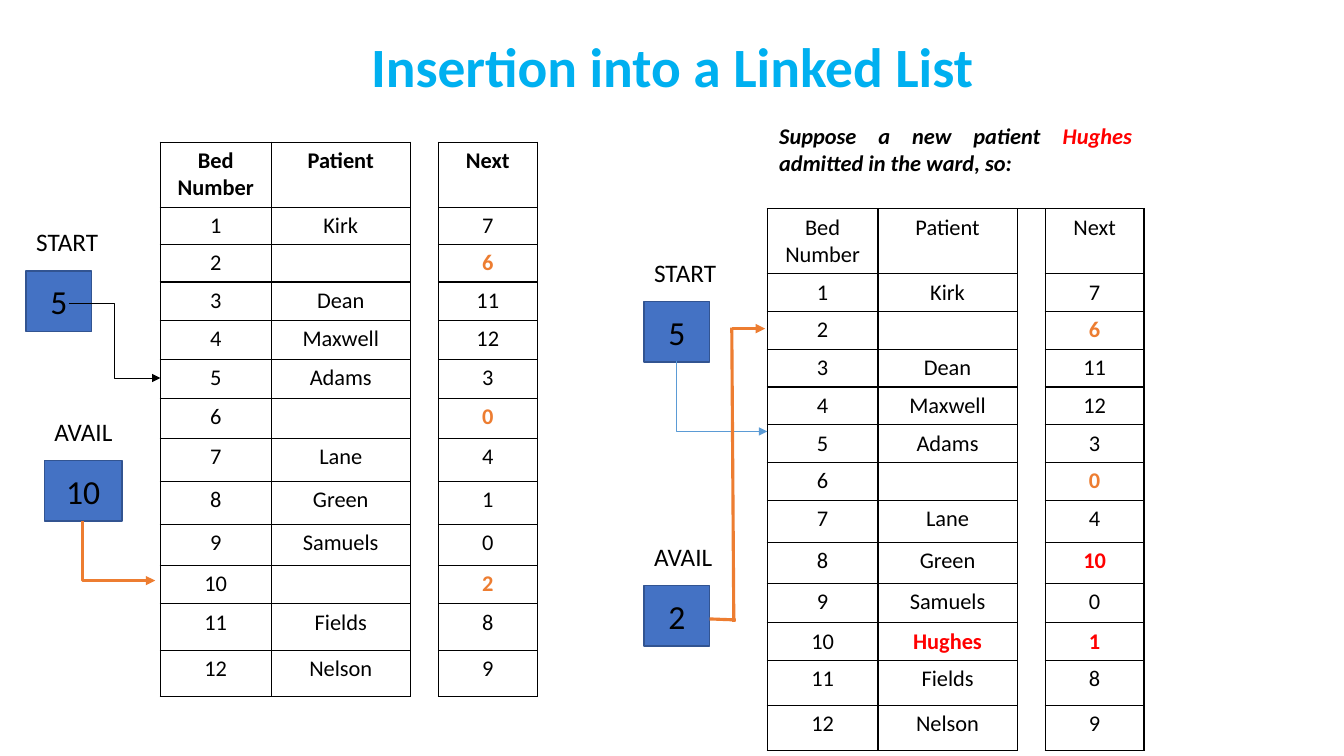
"""Build the slide on inserting a patient into a linked list of ward beds."""
from dataclasses import dataclass
from typing import Optional

from lxml.etree import SubElement
from pptx import Presentation
from pptx.dml.color import RGBColor
from pptx.enum.shapes import MSO_CONNECTOR, MSO_SHAPE
from pptx.enum.text import MSO_ANCHOR, PP_ALIGN
from pptx.oxml.ns import qn
from pptx.slide import Slide
from pptx.table import _Cell
from pptx.text.text import TextFrame
from pptx.util import Inches, Pt

SLIDE_WIDTH, SLIDE_HEIGHT = Inches(13.33), Inches(7.5)
COLUMN_SHARES = (8.25, 10.35, 2.03, 7.35)
GAP_COLUMN = 2
MERGED_GAP_ROWS = 11
LABEL_RISE = 6.53
BOX_HEIGHT = 8
NO_GRID_STYLE = "{2D5ABB26-0587-4C30-8999-92F81FD0307C}"


@dataclass(frozen=True)
class Theme:
    font: str = "Calibri"
    title: str = "00B0F0"
    text: str = "000000"
    free: str = "ED7D31"
    changed: str = "FF0000"
    box: str = "4472C4"
    box_line: str = "325491"
    thin_arrow: str = "5B9BD5"
    title_size: float = 39.6
    box_size: float = 24
    label_size: float = 18
    table_size: float = 16


THEME = Theme()


@dataclass(frozen=True)
class WardTable:
    left: float
    top: float
    row_shares: tuple[float, ...]
    patients: tuple[str, ...]
    links: tuple[int, ...]
    bold_heading: bool = False
    changed: frozenset[tuple[int, int]] = frozenset()
    intro: tuple[tuple[str, str], ...] = ()


@dataclass(frozen=True)
class Pointer:
    label: str
    value: int
    left: float
    top: float
    width: float = 4.88


@dataclass(frozen=True)
class Link:
    start: tuple[float, float]
    end: tuple[float, float]
    color: str
    width: float
    kind: str = "straight"
    arrow: bool = True


LEFT_PATIENTS = ("Kirk", "", "Dean", "Maxwell", "Adams", "", "Lane", "Green", "Samuels", "", "Fields", "Nelson")
RIGHT_PATIENTS = LEFT_PATIENTS[:9] + ("Hughes",) + LEFT_PATIENTS[10:]

TABLES = (
    WardTable(11.93, 18.8,
              (8.6, 4.96, 4.96, 5.05, 5.15, 5.2, 5.25, 5.7, 5.7, 5.45, 5.05, 6.2, 6.1),
              LEFT_PATIENTS, (7, 6, 11, 12, 3, 0, 4, 1, 0, 2, 8, 9), bold_heading=True),
    WardTable(57.08, 15.6,
              (12, 8.6, 5, 5, 5, 5, 5, 5, 5.55, 5.45, 5.2, 5, 5.95, 5.95),
              RIGHT_PATIENTS, (7, 6, 11, 12, 3, 0, 4, 10, 0, 1, 8, 9),
              changed=frozenset({(8, 3), (10, 1), (10, 3)}),
              intro=(("Suppose a new patient ", THEME.text), ("Hughes ", THEME.changed),
                     ("admitted in the ward, so:", THEME.text))),
)
POINTERS = (
    Pointer("START", 5, 1.95, 35.87),
    Pointer("AVAIL", 10, 3.3, 60.93, 5.78),
    Pointer("START", 5, 47.93, 39.87),
    Pointer("AVAIL", 2, 47.93, 77.47),
)
LINKS = (
    Link((5.1, 40.13), (11.93, 50), THEME.text, 0.5, "elbow"),
    Link((6.15, 68.93), (11.55, 76.8), THEME.free, 2.25, "corner"),
    Link((50.33, 47.73), (57.08, 57.07), THEME.thin_arrow, 0.5, "corner"),
    Link((54.6, 82.27), (54.45, 43.33), THEME.free, 2.25, arrow=False),
    Link((54.45, 43.47), (56.93, 43.47), THEME.free, 2.25),
    Link((52.8, 81.87), (54.75, 82), THEME.free, 2.25, arrow=False),
)


def across(share: float) -> int:
    return round(SLIDE_WIDTH * share / 100)


def down(share: float) -> int:
    return round(SLIDE_HEIGHT * share / 100)


def area(left: float, top: float, width: float, height: float) -> tuple[int, int, int, int]:
    return across(left), down(top), across(width), down(height)


def write(frame: TextFrame, text: str, size: float, color: str = THEME.text, bold: bool = False,
          alignment: PP_ALIGN = PP_ALIGN.CENTER) -> None:
    paragraph = frame.paragraphs[0]
    paragraph.text = text
    paragraph.alignment = alignment
    font = paragraph.font
    font.name, font.size, font.bold = THEME.font, Pt(size), bold
    font.color.rgb = RGBColor.from_string(color)


def style_cell(cell: _Cell, borders: str) -> None:
    cell.margin_left = cell.margin_right = across(0.9)
    cell.margin_top = cell.margin_bottom = down(0.67) if cell.text else 0
    properties = cell._tc.get_or_add_tcPr()
    for side in borders:
        line = SubElement(properties, qn(f"a:ln{side}"), w=str(Pt(1)))
        SubElement(SubElement(line, qn("a:solidFill")), qn("a:srgbClr"), val=THEME.text)
    cell.fill.background()


def draw_title(slide: Slide) -> None:
    frame = slide.shapes.add_textbox(*area(6.9, 5.33, 86.25, 7.73)).text_frame
    frame.word_wrap = True
    frame.vertical_anchor = MSO_ANCHOR.MIDDLE
    write(frame, "Insertion into a Linked List", THEME.title_size, THEME.title, True)
    frame.paragraphs[0].line_spacing = 0.9


def draw_intro(cell: _Cell, runs: tuple[tuple[str, str], ...]) -> None:
    write(cell.text_frame, "", THEME.table_size, bold=True, alignment=PP_ALIGN.JUSTIFY)
    paragraph = cell.text_frame.paragraphs[0]
    paragraph.font.italic = True
    for text, color in runs:
        run = paragraph.add_run()
        run.text = text
        run.font.color.rgb = RGBColor.from_string(color)
    style_cell(cell, "")


def cell_color(ward: WardTable, bed: int, column: int) -> Optional[str]:
    if (bed, column) in ward.changed:
        return THEME.changed
    if bed and column == 3 and not ward.patients[bed - 1]:
        return THEME.free
    return None


def draw_table(slide: Slide, ward: WardTable) -> None:
    frame = slide.shapes.add_table(len(ward.row_shares), len(COLUMN_SHARES), *area(
        ward.left, ward.top, sum(COLUMN_SHARES), sum(ward.row_shares)))
    table = frame.table
    table.first_row = table.horz_banding = False
    table._tbl.tblPr.find(qn("a:tableStyleId")).text = NO_GRID_STYLE
    for column, share in zip(table.columns, COLUMN_SHARES):
        column.width = across(share)
    for row, share in zip(table.rows, ward.row_shares):
        row.height = down(share)
    heading_row = 1 if ward.intro else 0
    if ward.intro:
        table.cell(0, 0).merge(table.cell(0, len(COLUMN_SHARES) - 1))
        draw_intro(table.cell(0, 0), ward.intro)
    beds = [(str(bed), name, "", str(link))
            for bed, (name, link) in enumerate(zip(ward.patients, ward.links), 1)]
    for bed, texts in enumerate([("Bed Number", "Patient", "", "Next"), *beds]):
        for column, text in enumerate(texts):
            cell = table.cell(heading_row + bed, column)
            color = cell_color(ward, bed, column)
            bold = bool(color) or (bed == 0 and ward.bold_heading)
            write(cell.text_frame, text, THEME.table_size, color or THEME.text, bold)
            style_cell(cell, "LR" if column == GAP_COLUMN else "LRTB")
    last_gap_row = heading_row + MERGED_GAP_ROWS - 1
    table.cell(heading_row, GAP_COLUMN).merge(table.cell(last_gap_row, GAP_COLUMN))


def draw_pointer(slide: Slide, pointer: Pointer) -> None:
    box = slide.shapes.add_shape(MSO_SHAPE.RECTANGLE, *area(
        pointer.left, pointer.top, pointer.width, BOX_HEIGHT))
    box.shadow.inherit = False
    box.fill.solid()
    box.fill.fore_color.rgb = RGBColor.from_string(THEME.box)
    box.line.color.rgb = RGBColor.from_string(THEME.box_line)
    box.line.width = Pt(1)
    box.text_frame.vertical_anchor = MSO_ANCHOR.MIDDLE
    write(box.text_frame, str(pointer.value), THEME.box_size)
    label = slide.shapes.add_textbox(*area(pointer.left, pointer.top - LABEL_RISE, 8.25, 5.33))
    label.text_frame.word_wrap = True
    write(label.text_frame, pointer.label, THEME.label_size, alignment=PP_ALIGN.LEFT)


def draw_link(slide: Slide, link: Link) -> None:
    left, top, right, bottom = (across(link.start[0]), down(link.start[1]),
                                across(link.end[0]), down(link.end[1]))
    if link.kind == "corner":
        middle_x, middle_y = (left + right) // 2, (top + bottom) // 2
        half_width, half_height = (right - left) // 2, (bottom - top) // 2
        left, right = middle_x + half_height, middle_x - half_height
        top, bottom = middle_y - half_width, middle_y + half_width
    kind = MSO_CONNECTOR.STRAIGHT if link.kind == "straight" else MSO_CONNECTOR.ELBOW
    connector = slide.shapes.add_connector(kind, left, top, right, bottom)
    connector.line.color.rgb = RGBColor.from_string(link.color)
    connector.line.width = Pt(link.width)
    properties = connector._element.spPr
    if link.kind == "corner":
        properties.find(qn("a:xfrm")).set("rot", str(270 * 60000))
        properties.find(qn("a:prstGeom")).set("prst", "bentConnector2")
    if link.arrow:
        SubElement(properties.find(qn("a:ln")), qn("a:tailEnd"), type="triangle")
    SubElement(properties, qn("a:effectLst"))


def main() -> None:
    presentation = Presentation()
    presentation.slide_width, presentation.slide_height = SLIDE_WIDTH, SLIDE_HEIGHT
    slide = presentation.slides.add_slide(presentation.slide_layouts[6])
    draw_title(slide)
    for draw, items in ((draw_table, TABLES), (draw_pointer, POINTERS), (draw_link, LINKS)):
        for item in items:
            draw(slide, item)
    presentation.save("out.pptx")


if __name__ == "__main__":
    main()
